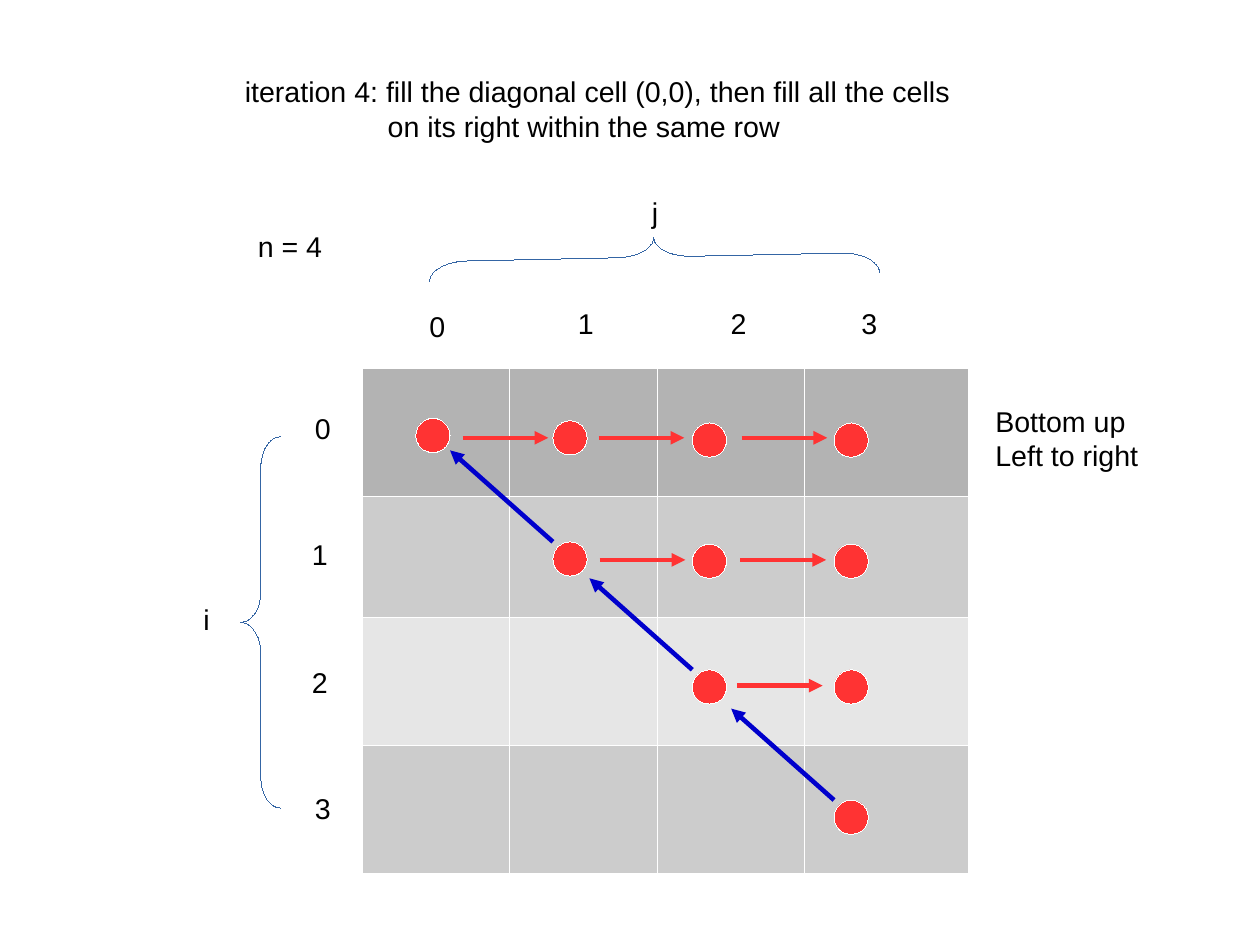
from dataclasses import dataclass

from lxml.etree import SubElement
from pptx import Presentation
from pptx.dml.color import RGBColor
from pptx.enum.shapes import MSO_CONNECTOR, MSO_SHAPE
from pptx.enum.text import MSO_ANCHOR, MSO_AUTO_SIZE, PP_ALIGN
from pptx.oxml.ns import qn
from pptx.util import Pt


@dataclass(frozen=True)
class Theme:
    font: str = "Arial"
    size: float = 18
    text: str = "000000"
    border: str = "FFFFFF"
    border_width: float = 0.57
    rows: tuple = ("B3B3B3", "CCCCCC", "E6E6E6", "CCCCCC")
    fill_step: str = "FF3333"
    diagonal_step: str = "0000CC"
    arrow_width: float = 2.89
    brace: str = "3465A4"


@dataclass(frozen=True)
class Box:
    left: float
    top: float
    width: float
    height: float

    def within(self, x, y, width, height):
        return Box(self.left + x, self.top + y, width, height)

    def lengths(self):
        return Pt(self.left), Pt(self.top), Pt(self.width), Pt(self.height)


THEME = Theme()
COLUMN_WIDTHS = (93, 93, 93, 103.3)
ROW_HEIGHTS = (80.6, 76.5, 80.6, 80.9)

# Offsets from the top left corner of the grid
DOT_SIZE = 21.6
DOT_X = (44.7, 131.1, 218.9, 308.2)
DOT_Y = ((42.5, 44, 45.4, 45.4), (120.3, 121.7, 121.7), (200.9, 200.9), (283,))
FILL_ARROW_X = ((63.4, 149.1, 239.1), (149.8, 238.4), (236.2,))
FILL_ARROW_Y = (44, 120.9, 200.1)
FILL_ARROW_LENGTH = 54
DIAGONAL_ARROW = (-64.8, -57.6)
ROW_INDEXES = ((-36.7, 23.8), (-38.7, 103), (-38.7, 183.4), (-36.7, 262.8))
COLUMN_INDEXES = ((35.3, -41), (128.9, -42.4), (225.2, -42.8), (307.5, -42.8))


def color(value):
    return RGBColor.from_string(value)


def write_lines(frame, lines):
    frame.word_wrap = True
    frame.vertical_anchor = MSO_ANCHOR.TOP
    for number, line in enumerate(lines):
        para = frame.paragraphs[0] if number == 0 else frame.add_paragraph()
        para.alignment = PP_ALIGN.LEFT
        span = para.add_run()
        span.text = line
        span.font.name = THEME.font
        span.font.size = Pt(THEME.size)
        span.font.color.rgb = color(THEME.text)


def add_label(page, box, *lines):
    label = page.shapes.add_textbox(*box.lengths())
    write_lines(label.text_frame, lines)


def add_heading(page, box):
    title = page.shapes.title
    title.left, title.top, title.width, title.height = box.lengths()
    frame = title.text_frame
    frame.auto_size = MSO_AUTO_SIZE.NONE
    write_lines(frame, ("iteration 4: fill the diagonal cell (0,0), then fill all the cells",
                        "on its right within the same row"))
    # The second line is indented under the first
    frame.paragraphs[1]._p.get_or_add_pPr().set("marL", str(Pt(90)))


def set_borders(cell):
    properties = cell._tc.get_or_add_tcPr()
    for side in ("a:lnL", "a:lnR", "a:lnT", "a:lnB"):
        line = SubElement(properties, qn(side), w=str(Pt(THEME.border_width)))
        fill = SubElement(line, qn("a:solidFill"))
        SubElement(fill, qn("a:srgbClr"), val=THEME.border)


def add_grid(page, box):
    table = page.shapes.add_table(len(ROW_HEIGHTS), len(COLUMN_WIDTHS), *box.lengths()).table
    table.first_row = table.horz_banding = False
    for column, width in zip(table.columns, COLUMN_WIDTHS):
        column.width = Pt(width)
    for row, height, shade in zip(table.rows, ROW_HEIGHTS, THEME.rows):
        row.height = Pt(height)
        for cell in row.cells:
            set_borders(cell)
            cell.fill.solid()
            cell.fill.fore_color.rgb = color(shade)


def set_hairline(shape, stroke):
    shape.shadow.inherit = False
    shape.line.color.rgb = color(stroke)
    # An explicit zero overrides the width of the shape style
    shape.line._get_or_add_ln().set("w", "0")


def add_dot(page, box):
    dot = page.shapes.add_shape(MSO_SHAPE.OVAL, *box.lengths())
    dot.fill.solid()
    dot.fill.fore_color.rgb = color(THEME.fill_step)
    set_hairline(dot, THEME.border)


def add_arrow(page, x, y, dx, dy, stroke):
    arrow = page.shapes.add_connector(
        MSO_CONNECTOR.STRAIGHT, Pt(x), Pt(y), Pt(x + dx), Pt(y + dy))
    arrow.line.color.rgb = color(stroke)
    arrow.line.width = Pt(THEME.arrow_width)
    SubElement(arrow.line._get_or_add_ln(), qn("a:tailEnd"), type="triangle")
    SubElement(arrow._element.spPr, qn("a:effectLst"))


def add_fill_order(page, box):
    # Each row starts on the diagonal
    for row, heights in enumerate(DOT_Y):
        for x, y in zip(DOT_X[row:], heights):
            add_dot(page, box.within(x - DOT_SIZE / 2, y - DOT_SIZE / 2, DOT_SIZE, DOT_SIZE))

    # Red arrows run right along a row
    for starts, y in zip(FILL_ARROW_X, FILL_ARROW_Y):
        for x in starts:
            add_arrow(page, box.left + x, box.top + y, FILL_ARROW_LENGTH, 0, THEME.fill_step)

    # Blue arrows climb the diagonal
    for row in range(1, len(DOT_Y)):
        add_arrow(page, box.left + DOT_X[row] - DOT_SIZE / 2,
                  box.top + DOT_Y[row][0] - DOT_SIZE / 2, *DIAGONAL_ARROW, THEME.diagonal_step)


def add_brace(page, box, rotation=0):
    brace = page.shapes.add_shape(MSO_SHAPE.LEFT_BRACE, *box.lengths())
    brace.adjustments[0] = box.height / box.width / 12
    brace.rotation = rotation
    brace.fill.background()
    set_hairline(brace, THEME.brace)


def add_axes(page, box):
    for positions in (ROW_INDEXES, COLUMN_INDEXES):
        for number, (x, y) in enumerate(positions):
            add_label(page, box.within(x, y, 59, 51), str(number))
    add_brace(page, box.within(-76.3, 43.2, 25.2, 234))
    add_label(page, box.within(-107, 143.8, 41, 39.6), "i")
    add_brace(page, box.within(171.4, -211.7, 25.2, 283.7), rotation=88.8)
    add_label(page, box.within(175.5, -112.6, 41, 39.6), "j")


def add_notes_beside(page, box):
    add_label(page, box.within(-72.7, -91.4, 100.8, 51), "n = 4")
    add_label(page, box.within(391.9, 18.8, 129.6, 51), "Bottom up", "Left to right")


def main():
    deck = Presentation()
    deck.slide_width, deck.slide_height = Pt(793.7), Pt(595.28)
    page = deck.slides.add_slide(deck.slide_layouts[5])
    grid = Box(228, 231.8, sum(COLUMN_WIDTHS), sum(ROW_HEIGHTS))
    add_heading(page, Box(147, 43.2, 630, 51))
    add_grid(page, grid)
    add_axes(page, grid)
    add_fill_order(page, grid)
    add_notes_beside(page, grid)
    deck.save("out.pptx")


if __name__ == "__main__":
    main()
